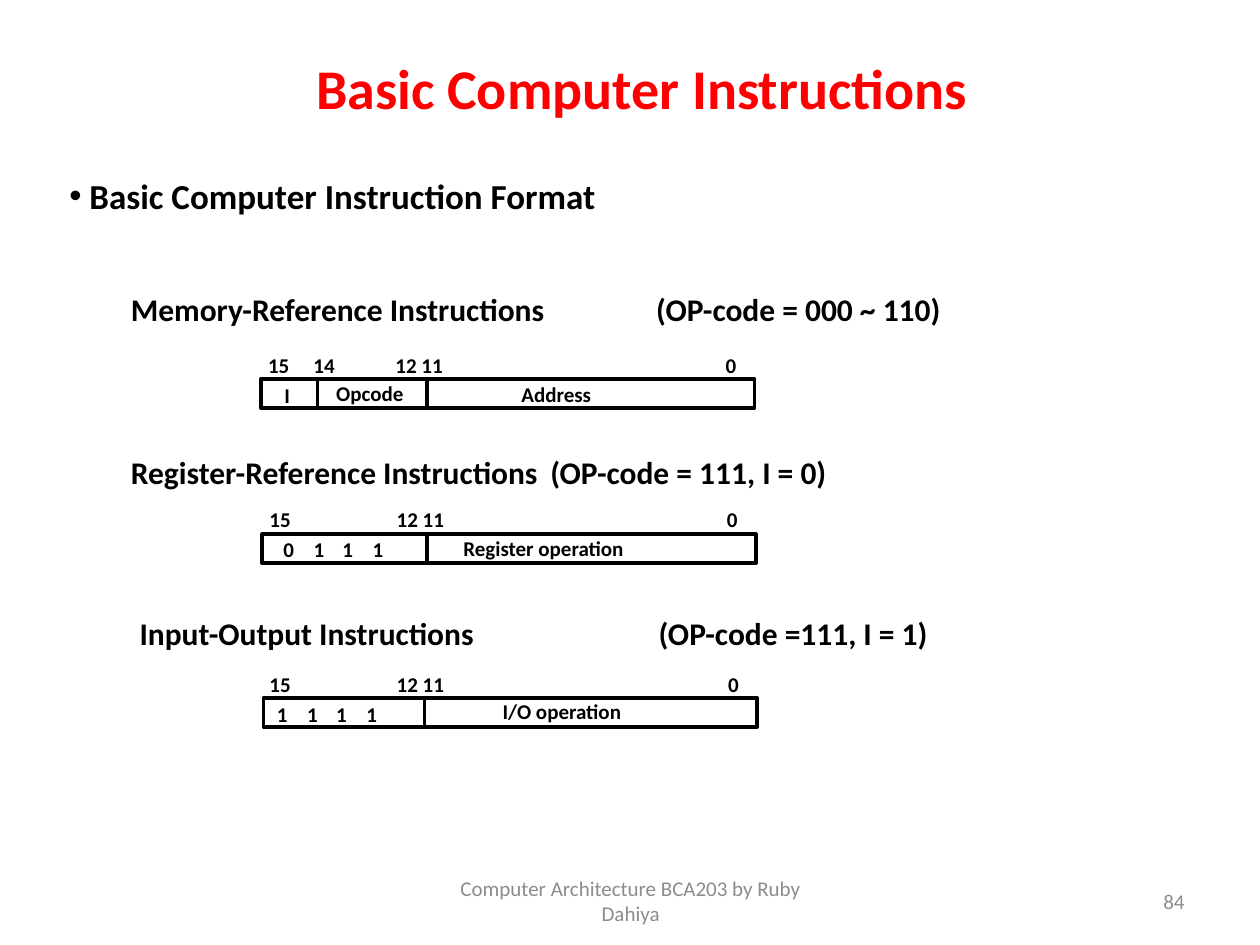
from lxml.etree import SubElement
from pptx import Presentation
from pptx.dml.color import RGBColor
from pptx.enum.shapes import MSO_CONNECTOR, MSO_SHAPE
from pptx.enum.text import MSO_ANCHOR, PP_ALIGN
from pptx.oxml.ns import qn
from pptx.util import Pt

PX = 9144  # EMU per px, 100 px to the inch
COLORS = {"title": "FF0000", "ink": "000000", "footer": "8C8C8C", "paper": "FFFFFF"}
FONT = "Calibri"
BAR_WIDTH, BAR_HEIGHT, LABEL_HEIGHT = 392, 23, 28
BIT_TABS = (24, 47, 71)

# Headings: left, top, text, tab stop of the op-code
HEADINGS = [
    (94, 229, "Memory-Reference Instructions\t(OP-code = 000 ~ 110)", 417),
    (94, 358, "Register-Reference Instructions\t(OP-code = 111, I = 0)", 333),
    (101, 486, "Input-Output Instructions\t(OP-code =111, I = 1)", 412),
]

# Formats: bar position, dividers (x, top), labels (left, top, width, text, tabs)
FORMATS = [
    {"bar": (207, 301), "dividers": [(252, 301), (339, 301)], "labels": [
        (203, 277, 80, "15\t14", (36,)), (304, 277, 61, "12 11", ()),
        (566, 277, 29, "0", ()), (216, 301, 24, "I", ()),
        (257, 299, 82, "Opcode", ()), (404, 300, 86, "Address", ())]},
    {"bar": (208, 424), "dividers": [(339, 423)], "labels": [
        (204, 399, 43, "15", ()), (305, 399, 61, "12 11", ()),
        (567, 399, 29, "0", ()), (358, 422, 167, "Register operation", ()),
        (215, 423, 113, "0\t1\t1\t1", BIT_TABS)]},
    {"bar": (209, 554), "dividers": [(337, 555)], "labels": [
        (204, 530, 43, "15", ()), (305, 530, 61, "12 11", ()),
        (568, 530, 29, "0", ()), (389, 552, 123, "I/O operation", ()),
        (210, 554, 113, "1\t1\t1\t1", BIT_TABS)]},
]


def px(*lengths):
    return [length * PX for length in lengths]


def color(name):
    return RGBColor.from_string(COLORS[name])


def set_all(target, values):
    for name, value in values.items():
        setattr(target, name, value)


def add_bullet(para, indent):
    properties = para._p.get_or_add_pPr()
    properties.set("marL", str(indent * PX))
    properties.set("indent", str(-indent * PX))
    SubElement(properties, qn("a:buFont"), typeface="Arial")
    SubElement(properties, qn("a:buChar"), char="•")


def add_tabs(para, stops):
    tab_list = SubElement(para._p.get_or_add_pPr(), qn("a:tabLst"))
    for stop in stops:
        SubElement(tab_list, qn("a:tab"), pos=str(stop * PX), algn="l")


def add_text(shapes, place, text, size, ink="ink", bold=True, align=PP_ALIGN.LEFT,
             spacing=0.9, inset=(10, 5), anchor=MSO_ANCHOR.TOP, tabs=(), bullet=0):
    box = shapes.add_textbox(*px(*place))
    across, down = px(*inset)
    set_all(box.text_frame, {
        "word_wrap": True, "vertical_anchor": anchor,
        "margin_left": across, "margin_right": across,
        "margin_top": down, "margin_bottom": down})
    para = box.text_frame.paragraphs[0]
    set_all(para, {"alignment": align, "line_spacing": spacing})
    if bullet:
        add_bullet(para, bullet)
    if tabs:
        add_tabs(para, tabs)
    span = para.add_run()
    span.text = text
    set_all(span.font, {"name": FONT, "size": Pt(size), "bold": bold})
    span.font.color.rgb = color(ink)


def style_line(line):
    line.color.rgb = color("ink")
    line.width = Pt(2)


def add_bar(shapes, left, top):
    bar = shapes.add_shape(MSO_SHAPE.RECTANGLE, *px(left, top, BAR_WIDTH, BAR_HEIGHT))
    bar.shadow.inherit = False
    bar.fill.background()
    style_line(bar.line)


def add_divider(shapes, x, top):
    divider = shapes.add_connector(MSO_CONNECTOR.STRAIGHT,
                                   *px(x, top, x, top + BAR_HEIGHT))
    SubElement(divider._element.spPr, qn("a:effectLst"))
    style_line(divider.line)


def add_format(page, layout):
    shapes = page.shapes.add_group_shape().shapes
    add_bar(shapes, *layout["bar"])
    for divider in layout["dividers"]:
        add_divider(shapes, *divider)
    for left, top, width, text, tabs in layout["labels"]:
        add_text(shapes, (left, top, width, LABEL_HEIGHT), text, 12, tabs=tabs)


def main():
    deck = Presentation()
    deck.slide_width, deck.slide_height = px(1000, 750)
    page = deck.slides.add_slide(deck.slide_layouts[6])
    page.background.fill.solid()
    page.background.fill.fore_color.rgb = color("paper")

    # Footer and page number
    footer = {"size": 12, "ink": "footer", "bold": False, "spacing": 1.0,
              "anchor": MSO_ANCHOR.MIDDLE}
    add_text(page.shapes, (342, 695, 317, 40),
             "Computer Architecture BCA203 by Ruby Dahiya",
             align=PP_ALIGN.CENTER, **footer)
    add_text(page.shapes, (717, 695, 233, 40), "84", align=PP_ALIGN.RIGHT, **footer)

    # Title and topic
    add_text(page.shapes, (190, 47, 639, 52), "Basic Computer Instructions", 32,
             ink="title", align=PP_ALIGN.CENTER, spacing=0.87, inset=(7, 3))
    add_text(page.shapes, (48, 135, 502, 38), "Basic Computer Instruction Format", 20,
             spacing=1.02, inset=(7, 3), bullet=16)

    # Instruction formats
    for left, top, text, stop in HEADINGS:
        add_text(page.shapes, (left, top, 696, 37), text, 18, tabs=(stop,))
    for layout in FORMATS:
        add_format(page, layout)

    deck.save("out.pptx")


if __name__ == "__main__":
    main()
